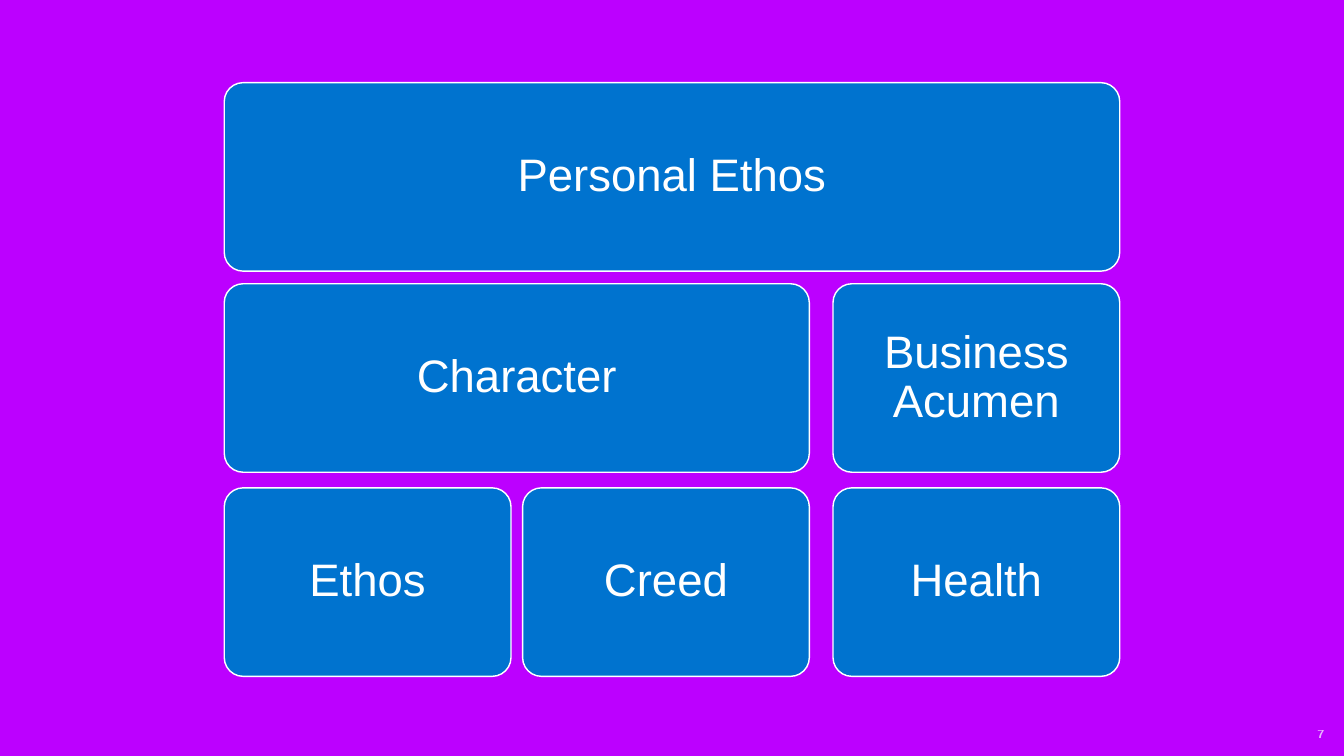
from dataclasses import dataclass

from lxml import etree
from pptx import Presentation
from pptx.dml.color import RGBColor
from pptx.enum import shapes, text
from pptx.oxml import ns
from pptx.util import Inches, Pt


@dataclass(frozen=True)
class Theme:
    back: RGBColor = RGBColor(0xBC, 0x00, 0xFF)
    fill: RGBColor = RGBColor(0x00, 0x73, 0xCF)
    ink: RGBColor = RGBColor(0xFF, 0xFF, 0xFF)
    font: str = "Arial"
    label: int = 65
    page: int = 18


@dataclass(frozen=True)
class Block:
    label: str
    row: int
    col: int
    span: int = 1


THEME = Theme()
COLS = (4.45, 10.37, 16.53)
ROWS = (1.64, 5.63, 9.68)
WIDTH, HEIGHT = 5.69, 3.74

BLOCKS = (
    Block("Personal Ethos", 0, 0, 3),
    Block("Character", 1, 0, 2),
    Block("Ethos", 2, 0),
    Block("Creed", 2, 1),
    Block("Business Acumen", 1, 2),
    Block("Health", 2, 2),
)


def write(shape, words: str, size: int, align, inset: float, wrap: bool):
    """Fill a shape with one middle-anchored line of text; return its run."""
    frame = shape.text_frame
    sides = ("left", "top", "right", "bottom")
    look = {f"margin_{side}": Inches(inset) for side in sides}
    look |= {"word_wrap": wrap, "vertical_anchor": text.MSO_ANCHOR.MIDDLE}
    for key, value in look.items():
        setattr(frame, key, value)
    para = frame.paragraphs[0]
    para.alignment = align
    run = para.add_run()
    run.text = words
    run.font.name = THEME.font
    run.font.size = Pt(size)
    run.font.color.rgb = THEME.ink
    return run


def draw_block(slide, block: Block) -> None:
    left = COLS[block.col]
    right = COLS[block.col + block.span - 1] + WIDTH
    shape = slide.shapes.add_shape(
        shapes.MSO_SHAPE.ROUNDED_RECTANGLE,
        Inches(left), Inches(ROWS[block.row]),
        Inches(right - left), Inches(HEIGHT),
    )
    shape.adjustments[0] = 0.1
    shape.shadow.inherit = False
    shape.fill.solid()
    shape.fill.fore_color.rgb = THEME.fill
    shape.line.color.rgb = THEME.ink
    shape.line.width = Pt(2)
    write(shape, block.label, THEME.label, text.PP_ALIGN.CENTER, 0.27, True)
    shape.text_frame.paragraphs[0].line_spacing = 0.9


def draw_page(slide, number: str) -> None:
    box = slide.shapes.add_textbox(
        Inches(25.94), Inches(14.35), Inches(0.4), Inches(0.42)
    )
    run = write(box, number, THEME.page, text.PP_ALIGN.RIGHT, 0.06, False)
    run.font.bold = True
    color = run.font.fill._xPr.find(".//" + ns.qn("a:srgbClr"))
    etree.SubElement(color, ns.qn("a:alpha"), val="70000")


def main() -> None:
    deck = Presentation()
    deck.slide_width, deck.slide_height = Inches(26.67), Inches(15)
    slide = deck.slides.add_slide(deck.slide_layouts[6])
    slide.background.fill.solid()
    slide.background.fill.fore_color.rgb = THEME.back
    draw_page(slide, "7")
    for block in BLOCKS:
        draw_block(slide, block)
    deck.save("out.pptx")


if __name__ == "__main__":
    main()
